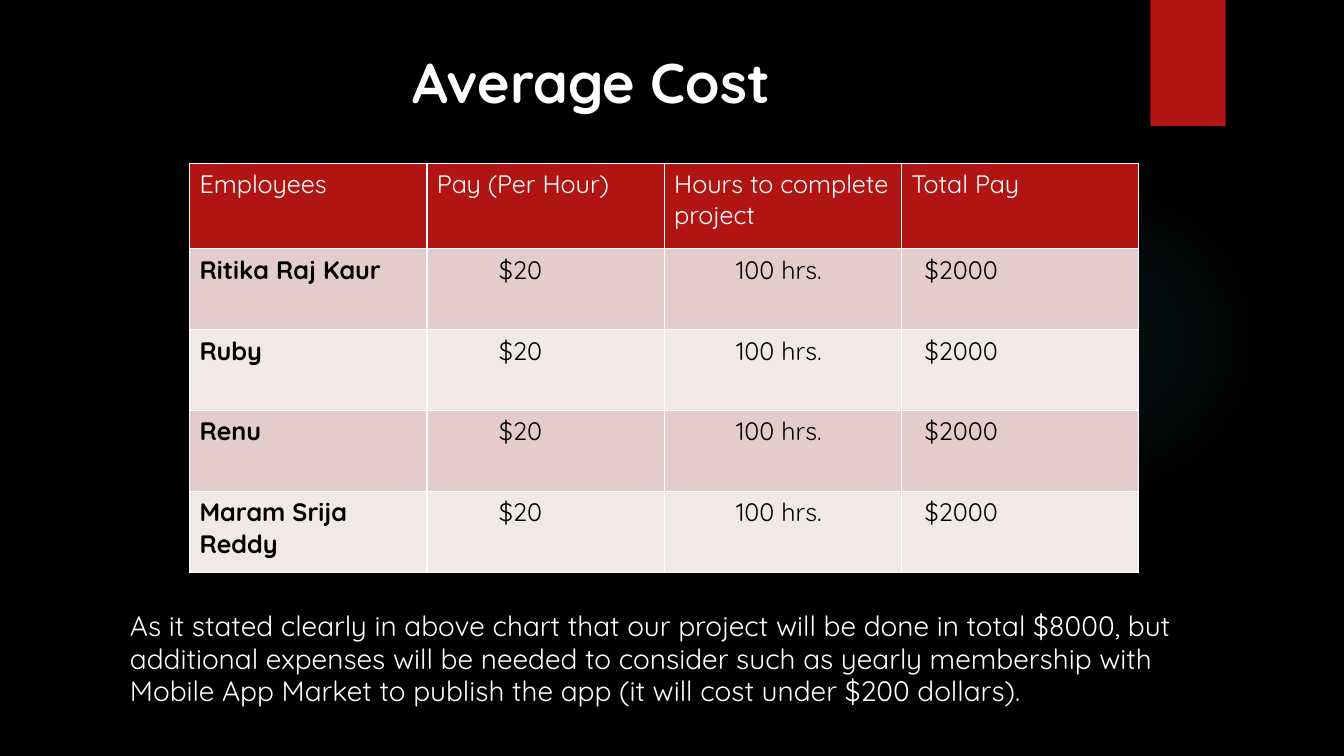
from lxml import etree
from pptx import Presentation
from pptx.dml.color import RGBColor
from pptx.enum import shapes, text
from pptx.oxml import parse_xml
from pptx.oxml.ns import qn
from pptx.util import Cm, Pt

NS = 'xmlns:a="http://schemas.openxmlformats.org/drawingml/2006/main"'
RED, WHITE, BLACK, TEAL = "B01513", "FFFFFF", "000000", "50B9C1"
BANDS = ("E4CCCC", "F2E8E7")
HEADS = ("Employees", "Pay (Per Hour)", "Hours to complete project", "Total Pay")
NAMES = ("Ritika Raj Kaur", "Ruby", "Renu", "Maram Srija Reddy")
COSTS = ("$20", "100 hrs.", "$2000")
INDENTS = (0, 1.56, 1.56, 0.33)
NOTE = (
    "As it stated clearly in above chart that our project will be done in total "
    "$8000, but additional expenses will be needed to consider such as yearly "
    "membership with Mobile App Market to publish the app (it will cost under "
    "$200 dollars)."
)


def color(hexa):
    return RGBColor.from_string(hexa)


def paint(fill, hexa):
    fill.solid()
    fill.fore_color.rgb = color(hexa)


def style(item, values):
    for name, value in values.items():
        setattr(item, name, value)


def write(frame, words, size, hexa=WHITE, bold=False):
    frame.text = words
    para = frame.paragraphs[0]
    style(para, {"alignment": text.PP_ALIGN.LEFT, "space_before": Pt(0)})
    style(para.font, {"name": "Quicksand", "size": Pt(size), "bold": bold})
    para.font.color.rgb = color(hexa)
    return para


def place(item, left, top, width, height):
    style(item, {"left": Cm(left), "top": Cm(top),
                 "width": Cm(width), "height": Cm(height)})


def shape(slide, kind, left, top, width, height):
    item = slide.shapes.add_shape(kind, Cm(left), Cm(top), Cm(width), Cm(height))
    item.shadow.inherit = False
    item.line.fill.background()
    return item


def glow(slide):
    disc = shape(slide, shapes.MSO_SHAPE.OVAL, 23.9, 4.65, 7.82, 7.82)
    stops = "".join(
        f'<a:gs pos="{pos}000"><a:srgbClr val="{TEAL}">'
        f'<a:alpha val="{alpha}000"/></a:srgbClr></a:gs>'
        for pos, alpha in ((0, 7), (36, 6), (69, 0))
    )
    grad = parse_xml(
        f'<a:gradFill {NS}><a:gsLst>{stops}</a:gsLst><a:path path="circle">'
        '<a:fillToRect l="50000" t="50000" r="50000" b="50000"/>'
        '</a:path></a:gradFill>'
    )
    disc._element.spPr.find(qn("a:prstGeom")).addnext(grad)


def title(slide):
    item = slide.shapes.title
    place(item, 3.89, 1.07, 23.32, 5.38)
    style(item.text_frame, {"margin_left": Cm(6.5), "word_wrap": True,
                            "vertical_anchor": text.MSO_ANCHOR.TOP,
                            "auto_size": text.MSO_AUTO_SIZE.NONE})
    write(item.text_frame, "Average Cost", 40, bold=True)


def note(slide):
    item = slide.placeholders[1]
    place(item, 3.02, 15.27, 28.19, 2.82)
    style(item.text_frame, {"word_wrap": True,
                            "auto_size": text.MSO_AUTO_SIZE.NONE})
    para = write(item.text_frame, NOTE, 20)
    para.line_spacing = 0.96
    props = para._p.get_or_add_pPr()
    style_none = etree.Element(qn("a:buNone"))
    props.insert_element_before(style_none, "a:tabLst", "a:defRPr", "a:extLst")
    props.set("marL", "0")
    props.set("indent", "0")


def edge(cell):
    props = cell._tc.get_or_add_tcPr()
    for side in "LRTB":
        props.append(parse_xml(
            f'<a:ln{side} {NS} w="{Pt(1)}"><a:solidFill>'
            f'<a:srgbClr val="{WHITE}"/></a:solidFill></a:ln{side}>'
        ))


def table(slide):
    rows = [HEADS] + [(name, *COSTS) for name in NAMES]
    frame = slide.shapes.add_table(
        len(rows), len(HEADS), Cm(4.78), Cm(4.11), Cm(23.92), Cm(10.4))
    grid = frame.table
    for col in grid.columns:
        col.width = Cm(5.98)
    for r, row in enumerate(rows):
        grid.rows[r].height = Cm(2.04 if r else 2.16)
        for c, words in enumerate(row):
            cell = grid.cell(r, c)
            edge(cell)
            paint(cell.fill, BANDS[(r - 1) % 2] if r else RED)
            cell.margin_left = Cm(0.25 + (INDENTS[c] if r else 0))
            write(cell.text_frame, words, 18, BLACK if r else WHITE,
                  bold=r > 0 and c == 0)


def main():
    deck = Presentation()
    style(deck, {"slide_width": Cm(33.87), "slide_height": Cm(19.05)})
    slide = deck.slides.add_slide(deck.slide_layouts[1])
    paint(slide.background.fill, BLACK)
    glow(slide)
    flag = shape(slide, shapes.MSO_SHAPE.RECTANGLE, 28.99, 0, 1.9, 3.18)
    paint(flag.fill, RED)
    title(slide)
    table(slide)
    note(slide)
    deck.save("out.pptx")


if __name__ == "__main__":
    main()
